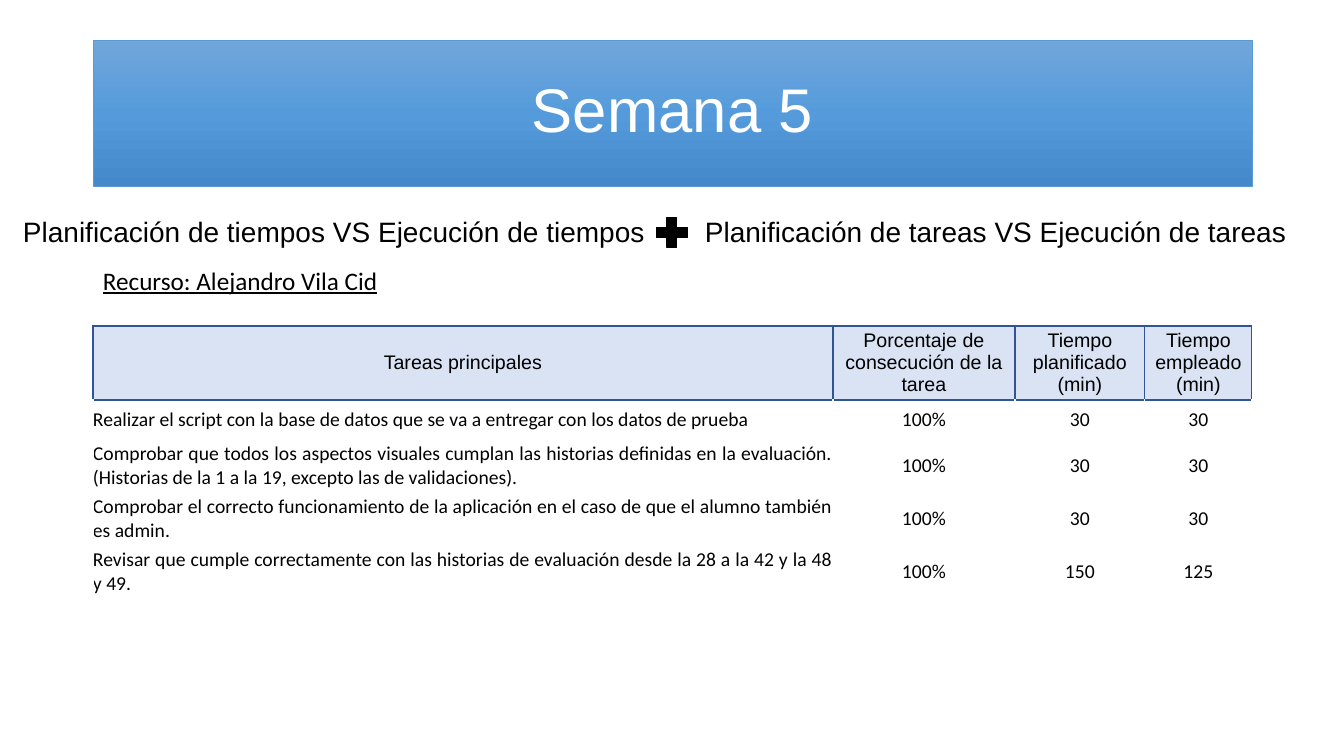
import copy

import pptx
import pptx.dml.color
import pptx.enum.shapes
import pptx.enum.text
import pptx.oxml
import pptx.oxml.ns
import pptx.util

ALIGN = pptx.enum.text.PP_ALIGN
ANCHOR = pptx.enum.text.MSO_ANCHOR
SHAPE = pptx.enum.shapes.MSO_SHAPE


def px(value):
    return pptx.util.Emu(round(value * 914400 / 100.8))


def color(value):
    return pptx.dml.color.RGBColor.from_string(value)


class SlideBuilder:
    heading_font, body_font = "Arial", "Calibri"
    ink, paper = "000000", "FFFFFF"
    header_fill, header_line = "DAE3F3", "2F5597"

    def __init__(self, slide):
        self.slide = slide

    def style(self, paragraph, size, font, text_color=None, align=ALIGN.LEFT):
        paragraph.alignment = align
        paragraph.font.size = pptx.util.Pt(size)
        paragraph.font.name = font
        paragraph.font.color.rgb = color(text_color or self.ink)

    def text(self, text, box, size, font, underline=False):
        frame = self.slide.shapes.add_textbox(*map(px, box)).text_frame
        frame.word_wrap = True
        frame.text = text
        self.style(frame.paragraphs[0], size, font)
        frame.paragraphs[0].font.underline = underline

    def shape(self, kind, box, line, line_width):
        shape = self.slide.shapes.add_shape(kind, *map(px, box))
        shape.shadow.inherit = False
        shape.line.color.rgb = color(line)
        shape.line.width = pptx.util.Pt(line_width)
        return shape

    def plus(self, box):
        shape = self.shape(SHAPE.MATH_PLUS, box, self.ink, 1)
        shape.fill.solid()
        shape.fill.fore_color.rgb = color(self.ink)

    def banner(self, text, box, gradient, line):
        shape = self.shape(SHAPE.RECTANGLE, box, line, 0.5)
        shape.fill.gradient()
        shape.fill.gradient_angle = 270
        # The default gradient has two stops; add a middle one
        stops = shape._element.spPr.find(".//" + pptx.oxml.ns.qn("a:gsLst"))
        stops.insert(1, copy.deepcopy(stops[0]))
        for stop, (position, value) in zip(shape.fill.gradient_stops, gradient):
            stop.position = position
            stop.color.rgb = color(value)
        frame = shape.text_frame
        frame.vertical_anchor = ANCHOR.MIDDLE
        frame.text = text
        paragraph = frame.paragraphs[0]
        self.style(paragraph, 44, self.heading_font, self.paper, ALIGN.CENTER)
        paragraph.line_spacing = 0.9

    def border(self, cell, sides):
        for side in sides:
            cell._tc.get_or_add_tcPr().append(pptx.oxml.parse_xml(
                f'<a:ln{side} {pptx.oxml.ns.nsdecls("a")} w="12700"><a:solidFill>'
                f'<a:srgbClr val="{self.header_line}"/></a:solidFill></a:ln{side}>'))

    def table(self, rows, left, top, widths, heights):
        box = (left, top, sum(widths), sum(heights))
        table = self.slide.shapes.add_table(
            len(rows), len(widths), *map(px, box)).table
        table.first_row = table.horz_banding = False
        for column, width in zip(table.columns, widths):
            column.width = px(width)
        for row, height in zip(table.rows, heights):
            row.height = px(height)
        for i, values in enumerate(rows):
            for j, value in enumerate(values):
                self.cell(table.cell(i, j), value, i, j)

    def cell(self, cell, value, row, column):
        header = row == 0
        cell.margin_left = cell.margin_right = 0
        cell.margin_top = cell.margin_bottom = 0
        cell.vertical_anchor = ANCHOR.MIDDLE
        cell.text = value
        justified = column == 0 and not header
        self.style(cell.text_frame.paragraphs[0], 14,
                   self.heading_font if header else self.body_font,
                   align=ALIGN.JUSTIFY if justified else ALIGN.CENTER)
        if header:
            self.border(cell, "LRTB")
            cell.fill.solid()
            cell.fill.fore_color.rgb = color(self.header_fill)
        else:
            self.border(cell, "T" if row == 1 else "")
            cell.fill.background()


TASKS = [
    ("Tareas principales", "Porcentaje de consecución de la tarea",
     "Tiempo planificado (min)", "Tiempo empleado (min)"),
    ("Realizar el script con la base de datos que se va a entregar con los "
     "datos de prueba", "100%", "30", "30"),
    ("Comprobar que todos los aspectos visuales cumplan las historias definidas "
     "en la evaluación.(Historias de la 1 a la 19, excepto las de "
     "validaciones).", "100%", "30", "30"),
    ("Comprobar el correcto funcionamiento de la aplicación en el caso de que "
     "el alumno también es admin.", "100%", "30", "30"),
    ("Revisar que cumple correctamente con las historias de evaluación desde "
     "la 28 a la 42 y la 48 y 49.", "100%", "150", "125"),
]


def main():
    presentation = pptx.Presentation()
    presentation.slide_width, presentation.slide_height = px(1344), px(756)
    builder = SlideBuilder(
        presentation.slides.add_slide(presentation.slide_layouts[6]))

    # Resource and comparison headings
    builder.text("Recurso: Alejandro Vila Cid", (93, 260, 370, 40), 18,
                 builder.body_font, underline=True)
    builder.text("Planificación de tareas VS Ejecución de tareas",
                 (695, 210, 609, 44), 20, builder.heading_font)
    builder.text("Planificación de tiempos VS Ejecución de tiempos",
                 (13, 210, 652, 44), 20, builder.heading_font)
    builder.plus((651, 212, 42, 41))

    # Title banner
    builder.banner("Semana 5", (93, 40, 1159, 146),
                   [(0, "71A6DB"), (0.5, "559BDB"), (1, "448ACA")], "5B9BD5")

    # Task table
    builder.table(TASKS, 93, 326, [740, 182, 130, 107], [74, 39, 53, 53, 53])

    presentation.save("out.pptx")


if __name__ == "__main__":
    main()
